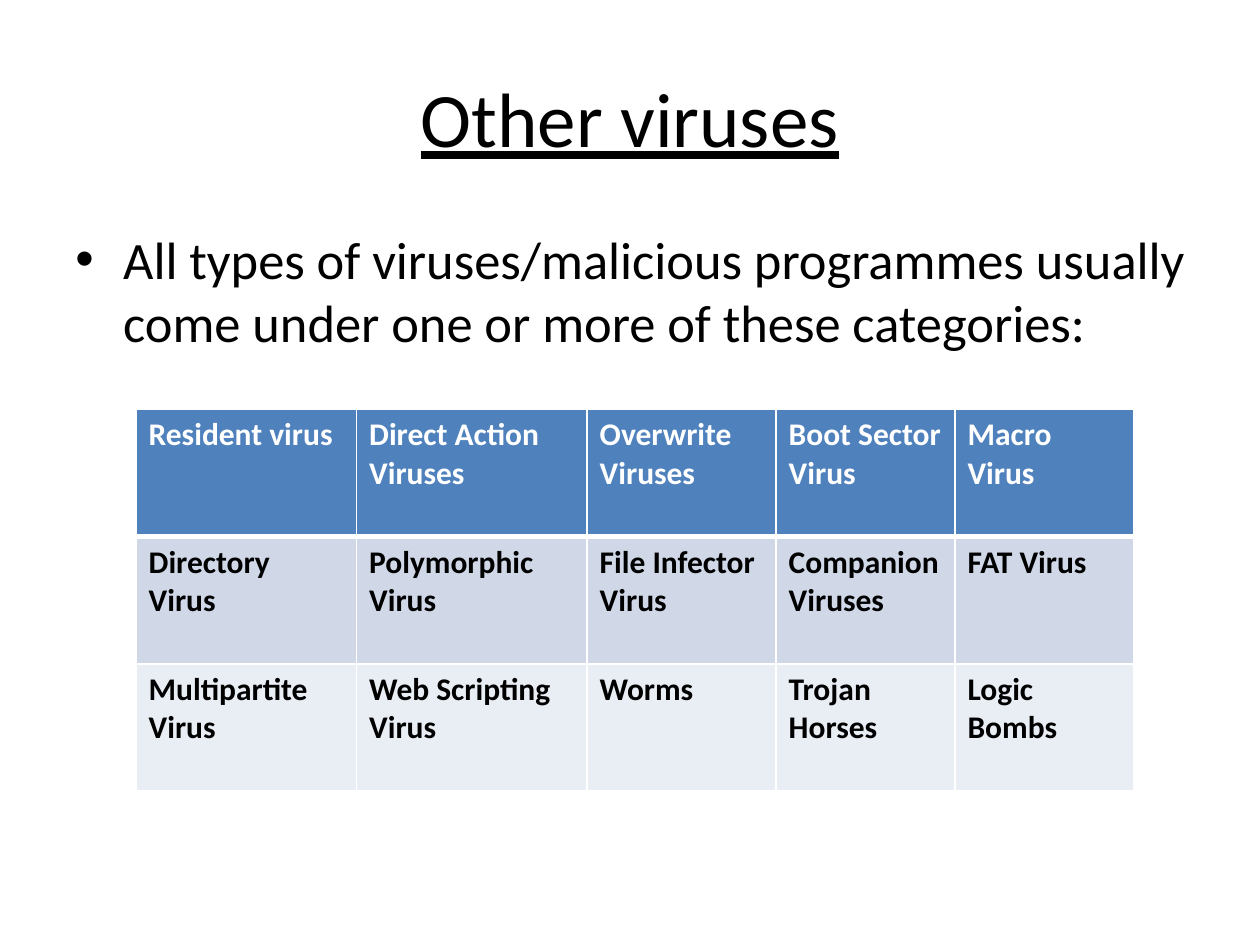
from lxml.etree import SubElement
from pptx import Presentation
from pptx.dml.color import RGBColor
from pptx.enum.text import MSO_ANCHOR as Anchor, PP_ALIGN as Align
from pptx.oxml.ns import qn
from pptx.util import Inches, Pt

COLORS = {
    "text": "000000",
    "white": "FFFFFF",
    "header": "4F81BD",
    "band_dark": "D0D8E8",
    "band_light": "E9EDF4",
}
VIRUS_ROWS = [
    ["Resident virus", "Direct Action Viruses", "Overwrite Viruses", "Boot Sector Virus", "Macro Virus"],
    ["Directory Virus", "Polymorphic Virus", "File Infector Virus", "Companion Viruses", "FAT Virus"],
    ["Multipartite Virus", "Web Scripting Virus", "Worms", "Trojan Horses", "Logic Bombs"],
]
ROW_STYLES = [("header", "white"), ("band_dark", "text"), ("band_light", "text")]
COLUMN_WIDTHS = [1.75, 1.83, 1.5, 1.42, 1.42]
ROW_HEIGHT = 1.01


def write_text(paragraph, text, color="text", **font_values):
    """Put one formatted run into a paragraph."""
    run = paragraph.add_run()
    run.text = text
    run.font.color.rgb = RGBColor.from_string(COLORS[color])
    for name, value in {"name": "Calibri", **font_values}.items():
        setattr(run.font, name, value)


def add_text_box(slide, left, top, width, height, anchor=Anchor.TOP):
    """Add a wrapping text box and return its first paragraph."""
    shape = slide.shapes.add_textbox(Inches(left), Inches(top), Inches(width), Inches(height))
    shape.text_frame.word_wrap = True
    shape.text_frame.vertical_anchor = anchor
    return shape.text_frame.paragraphs[0]


def add_title(slide, text):
    """Add the centred, underlined title."""
    paragraph = add_text_box(slide, 0.5, 0.3, 9, 1.25, Anchor.MIDDLE)
    paragraph.alignment = Align.CENTER
    write_text(paragraph, text, size=Pt(44), underline=True)


def add_bullet(slide, text):
    """Add the bulleted introduction with a hanging indent."""
    paragraph = add_text_box(slide, 0.5, 1.75, 9.17, 1.25)
    paragraph.space_before = Pt(6)
    properties = paragraph._p.get_or_add_pPr()
    properties.set("marL", str(Inches(0.38)))
    properties.set("indent", str(-Inches(0.38)))
    SubElement(properties, qn("a:buFont"), typeface="Arial")
    SubElement(properties, qn("a:buChar"), char="•")
    write_text(paragraph, text, size=Pt(30))


def add_borders(cell, bottom_width):
    """Draw white borders around a table cell."""
    properties = cell._tc.get_or_add_tcPr()
    for side, width in {"L": 1, "R": 1, "T": 1, "B": bottom_width}.items():
        line = SubElement(properties, qn(f"a:ln{side}"), w=str(Pt(width)))
        fill = SubElement(line, qn("a:solidFill"))
        SubElement(fill, qn("a:srgbClr"), val=COLORS["white"])


def add_virus_table(slide):
    """Add the table of virus categories."""
    table = slide.shapes.add_table(
        len(VIRUS_ROWS), len(COLUMN_WIDTHS), Inches(1.08), Inches(3.25),
        Inches(sum(COLUMN_WIDTHS)), Inches(ROW_HEIGHT * len(VIRUS_ROWS)),
    ).table
    for column, width in zip(table.columns, COLUMN_WIDTHS):
        column.width = Inches(width)
    for row, names, (fill, color) in zip(table.rows, VIRUS_ROWS, ROW_STYLES):
        row.height = Inches(ROW_HEIGHT)
        for cell, name in zip(row.cells, names):
            add_borders(cell, 3 if fill == "header" else 1)
            cell.fill.solid()
            cell.fill.fore_color.rgb = RGBColor.from_string(COLORS[fill])
            write_text(cell.text_frame.paragraphs[0], name, color, size=Pt(18), bold=True)


def main():
    """Build and save the slide."""
    presentation = Presentation()
    presentation.slide_width, presentation.slide_height = Inches(10), Inches(7.5)
    slide = presentation.slides.add_slide(presentation.slide_layouts[6])
    add_title(slide, "Other viruses")
    add_bullet(slide, "All types of viruses/malicious programmes usually come under one or more of these categories:")
    add_virus_table(slide)
    presentation.save("out.pptx")


if __name__ == "__main__":
    main()
